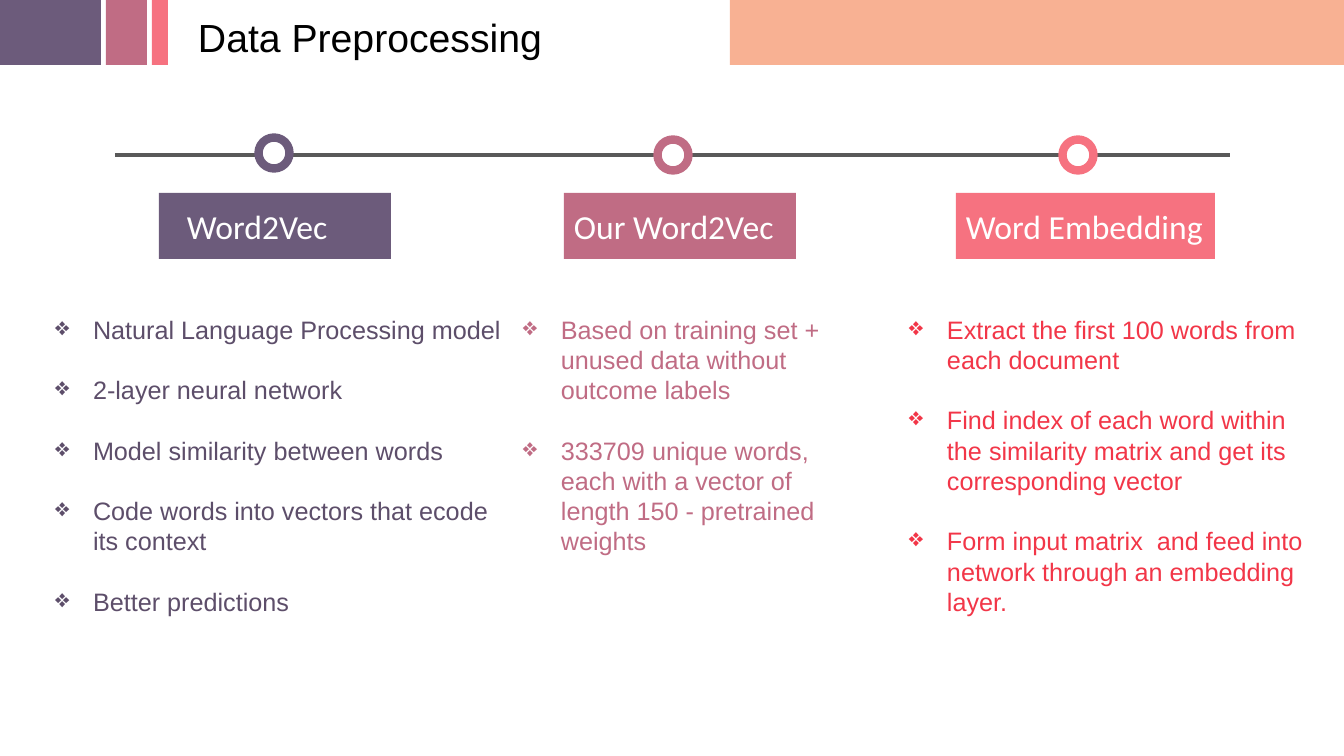
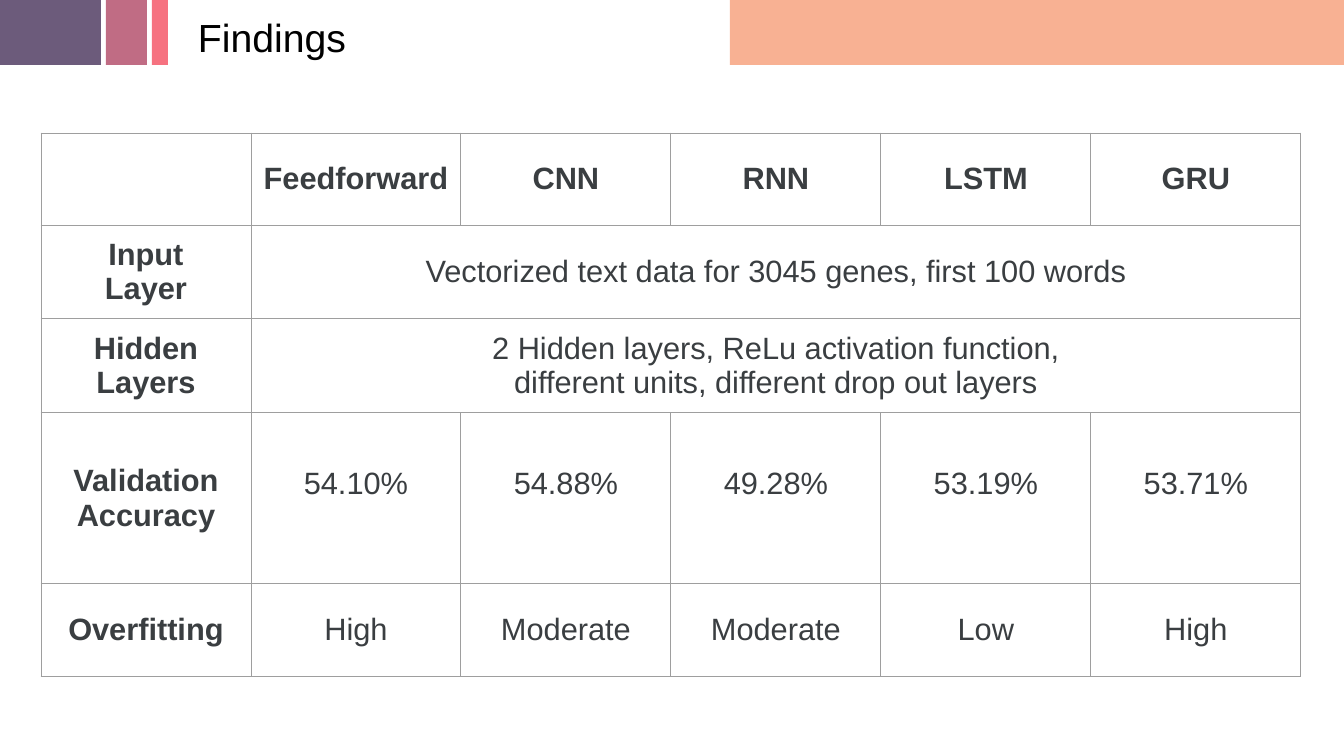
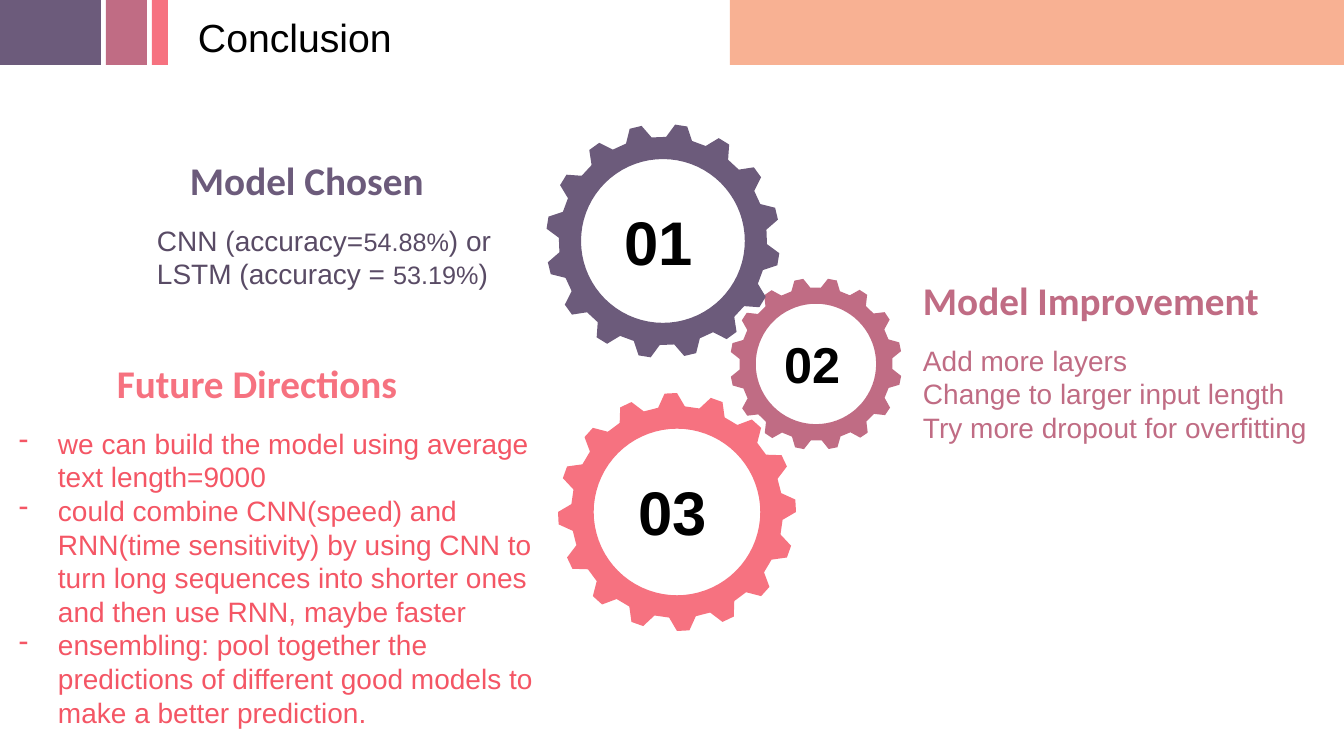
"""Build three slides on preprocessing, findings and conclusions of a text classifier."""
from dataclasses import dataclass
from math import cos, radians, sin

from lxml.etree import SubElement
from pptx import Presentation
from pptx.dml.color import RGBColor
from pptx.enum.shapes import MSO_CONNECTOR, MSO_SHAPE
from pptx.enum.text import MSO_ANCHOR, PP_ALIGN
from pptx.oxml import parse_xml
from pptx.oxml.ns import nsdecls, qn
from pptx.util import Pt

PX = 12192000 / 1344


@dataclass(frozen=True)
class Theme:
    """Colours, fonts and type sizes shared by the slides."""
    purple: str = "6C5B7B"
    rose: str = "C06C84"
    coral: str = "F67280"
    peach: str = "F8B193"
    white: str = "FFFFFF"
    black: str = "000000"
    purple_text: str = "5D4E6A"
    model_text: str = "594B65"
    red_text: str = "F23648"
    coral_text: str = "F45665"
    table_text: str = "3A3E41"
    grid: str = "9E9E9E"
    timeline: str = "595959"
    body_font: str = "Arial"
    label_font: str = "Calibri"
    title: int = 28
    label: int = 24
    table: int = 22
    body: int = 20
    bullet: int = 18
    heading_gap: float = 14.4
    line_factor: float = 1.2


THEME = Theme()

BANDS = [(736, 608, THEME.peach), (0, 101, THEME.purple),
         (106, 41, THEME.rose), (152, 16, THEME.coral)]
BAND_HEIGHT = 65
TITLE_BOX = (188, 8, 390, 57)

TIMELINE = (115, 1230, 155)
MARKER_SIZE = 31
LABEL_TOP, LABEL_HEIGHT = 193, 66
LIST_TOP, LIST_HEIGHT = 309, 390
STEPS = [
    {"label": "Word2Vec", "box": (159, 232), "inset": 28, "marker": (274, 153),
     "color": THEME.purple, "list": (33, 480), "text_color": THEME.purple_text,
     "items": ["Natural Language Processing model", "2-layer neural network",
               "Model similarity between words",
               "Code words into vectors that ecode its context",
               "Better predictions"]},
    {"label": "Our Word2Vec", "box": (564, 232), "inset": 10, "marker": (673, 155),
     "color": THEME.rose, "list": (501, 364), "text_color": THEME.rose,
     "items": ["Based on training set + unused data without outcome labels",
               "333709 unique words, each with a vector of length 150 - pretrained weights"]},
    {"label": "Word Embedding", "box": (956, 259), "inset": 10, "marker": (1078, 155),
     "color": THEME.coral, "list": (887, 448), "text_color": THEME.red_text,
     "items": ["Extract the first 100 words from each document",
               "Find index of each word within the similarity matrix and get its "
               "corresponding vector",
               "Form input matrix  and feed into network through an embedding layer."]},
]

TABLE_ORIGIN = (41, 133)
COLUMN_WIDTH = 210
ROW_HEIGHTS = [92, 93, 92, 171, 93]
ACCURACY_ROW, ACCURACY_BOTTOM = 3, 38
FINDINGS = [
    ["", "Feedforward", "CNN", "RNN", "LSTM", "GRU"],
    ["Input\nLayer", "Vectorized text data for 3045 genes, first 100 words"],
    ["Hidden Layers", "2 Hidden layers, ReLu activation function,\n"
                      "different units, different drop out layers"],
    ["Validation Accuracy", "54.10%", "54.88%", "49.28%", "53.19%", "53.71%"],
    ["Overfitting", "High", "Moderate", "Moderate", "Low", "High"],
]

TEETH = 16
GEARS = [
    {"number": "02", "center": (816, 364), "radius": 86, "phase": 11,
     "color": THEME.rose, "size": 36, "box": (84, 72)},
    {"number": "03", "center": (677, 512), "radius": 119, "phase": -3,
     "color": THEME.coral, "size": 44, "box": (98, 86)},
    {"number": "01", "center": (663, 241), "radius": 117, "phase": 9,
     "color": THEME.purple, "size": 44, "box": (97, 85)},
]
CONCLUSIONS = [
    {"heading": "Model Chosen", "indent": 33, "box": (147, 151, 402, 132),
     "color": THEME.purple, "text_color": THEME.model_text, "bullet": None,
     "lines": [["CNN (accuracy=", "54.88%", ") or"],
               ["LSTM (accuracy = ", "53.19%", ")"]]},
    {"heading": "Future Directions", "indent": 109, "box": (-2, 354, 552, 348),
     "color": THEME.coral, "text_color": THEME.coral_text, "bullet": "-",
     "lines": [["we can build the model using average text length=9000"],
               ["could combine CNN(speed) and RNN(time sensitivity) by using CNN to "
                "turn long sequences into shorter ones and then use RNN, maybe faster"],
               ["ensembling: pool together the predictions of different good models "
                "to make a better prediction."]]},
    {"heading": "Model Improvement", "indent": 0, "box": (913, 271, 410, 213),
     "color": THEME.rose, "text_color": THEME.rose, "bullet": None,
     "lines": [["Add more layers"], ["Change to larger input length"],
               ["Try more dropout for overfitting"]]},
]


def px(value):
    """Turn px into EMU."""
    return round(value * PX)


def rgb(color):
    """Turn a hex string into a colour."""
    return RGBColor.from_string(color)


def style(paragraph, size, color, font=THEME.body_font, bold=False):
    """Set the font that all runs of a paragraph share."""
    paragraph.font.name = font
    paragraph.font.size = Pt(size)
    paragraph.font.bold = bold
    paragraph.font.color.rgb = rgb(color)


def set_indent(paragraph, left, first=0, bullet=None):
    """Indent a paragraph and give it a bullet character."""
    properties = paragraph._p.get_or_add_pPr()
    properties.set("marL", str(px(left)))
    properties.set("indent", str(px(first)))
    if bullet:
        SubElement(properties, qn("a:buChar")).set("char", bullet)


def set_margins(target, left=10, right=10, top=5, bottom=5):
    """Set the inner margins of a text frame or table cell."""
    target.margin_left, target.margin_right = px(left), px(right)
    target.margin_top, target.margin_bottom = px(top), px(bottom)


def add_text_frame(slide, box):
    """Add a wrapping text box and return its frame."""
    frame = slide.shapes.add_textbox(*map(px, box)).text_frame
    frame.word_wrap = True
    set_margins(frame)
    return frame


def add_text(slide, box, text, size, color, bold=False):
    """Add a one-paragraph text box."""
    paragraph = add_text_frame(slide, box).paragraphs[0]
    paragraph.text = text
    style(paragraph, size, color, bold=bold)


def paint(shape, fill, line=None, width=0):
    """Fill a shape flat, with an optional outline."""
    shape.shadow.inherit = False
    shape.fill.solid()
    shape.fill.fore_color.rgb = rgb(fill)
    if line:
        shape.line.color.rgb = rgb(line)
        shape.line.width = Pt(width)
    else:
        shape.line.fill.background()


def add_shape(slide, kind, box, fill, line=None, width=0):
    """Add a painted preset shape."""
    shape = slide.shapes.add_shape(kind, *map(px, box))
    paint(shape, fill, line, width)
    return shape


def add_titled_slide(presentation, title):
    """Add a blank slide with the shared bands and title."""
    slide = presentation.slides.add_slide(presentation.slide_layouts[6])
    for left, width, color in BANDS:
        left = left - 6 if color == THEME.peach else left
        width = width + 6 if color == THEME.peach else width
        add_shape(slide, MSO_SHAPE.RECTANGLE, (left, 0, width, BAND_HEIGHT), color)
    add_text(slide, TITLE_BOX, title, THEME.title, THEME.black)
    return slide


def add_step(slide, step):
    """Add one timeline step: label, bullet list and marker."""
    left, width = step["box"]
    label = add_shape(slide, MSO_SHAPE.RECTANGLE, (left, LABEL_TOP, width, LABEL_HEIGHT),
                      step["color"])
    frame = label.text_frame
    set_margins(frame, left=step["inset"], right=0)
    frame.vertical_anchor = MSO_ANCHOR.MIDDLE
    frame.paragraphs[0].text = step["label"]
    frame.paragraphs[0].alignment = PP_ALIGN.LEFT
    style(frame.paragraphs[0], THEME.label, THEME.white, THEME.label_font)

    left, width = step["list"]
    frame = add_text_frame(slide, (left, LIST_TOP, width, LIST_HEIGHT))
    frame.text = "\n".join(step["items"])
    for paragraph in frame.paragraphs:
        set_indent(paragraph, 50, -38, "❖")
        paragraph.line_spacing = paragraph.space_after = Pt(THEME.bullet * THEME.line_factor)
        style(paragraph, THEME.bullet, step["text_color"])

    x, y = (center - MARKER_SIZE / 2 for center in step["marker"])
    add_shape(slide, MSO_SHAPE.OVAL, (x, y, MARKER_SIZE, MARKER_SIZE),
              THEME.white, step["color"], 6)


def build_preprocessing(presentation):
    """Build the timeline slide."""
    slide = add_titled_slide(presentation, "Data Preprocessing")
    start, end, y = TIMELINE
    line = slide.shapes.add_connector(MSO_CONNECTOR.STRAIGHT, px(start), px(y), px(end), px(y))
    line.line.color.rgb = rgb(THEME.timeline)
    line.line.width = Pt(2.25)
    SubElement(line._element.spPr, qn("a:effectLst"))
    for step in STEPS:
        add_step(slide, step)


def add_borders(cell):
    """Draw a thin line on each side of a cell."""
    properties = cell._tc.get_or_add_tcPr()
    for index, side in enumerate(("lnL", "lnR", "lnT", "lnB")):
        properties.insert(index, parse_xml(
            f'<a:{side} {nsdecls("a")} w="{Pt(0.75)}"><a:solidFill>'
            f'<a:srgbClr val="{THEME.grid}"/></a:solidFill></a:{side}>'))


def build_findings(presentation):
    """Build the table slide."""
    slide = add_titled_slide(presentation, "Findings")
    columns = len(FINDINGS[0])
    table = slide.shapes.add_table(
        len(FINDINGS), columns, *map(px, TABLE_ORIGIN),
        px(COLUMN_WIDTH * columns), px(sum(ROW_HEIGHTS))).table
    table.first_row = table.horz_banding = False
    for column in table.columns:
        column.width = px(COLUMN_WIDTH)
    for row, height in zip(table.rows, ROW_HEIGHTS):
        row.height = px(height)
    for cell in table.iter_cells():
        cell.fill.background()
        add_borders(cell)
    for row, texts in enumerate(FINDINGS):
        if len(texts) == 2:
            table.cell(row, 1).merge(table.cell(row, columns - 1))
        for column, text in enumerate(texts):
            cell = table.cell(row, column)
            cell.text = text
            cell.vertical_anchor = MSO_ANCHOR.MIDDLE
            is_accuracy = row == ACCURACY_ROW and column > 0
            set_margins(cell, top=10, bottom=ACCURACY_BOTTOM if is_accuracy else 10)
            for paragraph in cell.text_frame.paragraphs:
                paragraph.alignment = PP_ALIGN.CENTER
                style(paragraph, THEME.table, THEME.table_text, bold=row == 0 or column == 0)


def add_gear(slide, gear):
    """Add a toothed ring."""
    center_x, center_y = gear["center"]
    radius = gear["radius"]

    def point(angle, share):
        return (px(center_x + radius * share * cos(radians(angle))),
                px(center_y + radius * share * sin(radians(angle))))

    pitch = 360 / TEETH
    profile = [(-3, 1), (3, 1), (pitch / 2 - 4, 0.89), (pitch / 2 + 4, 0.89)]
    outline = [point(gear["phase"] + tooth * pitch + angle, share)
               for tooth in range(TEETH) for angle, share in profile]
    hole = [point(-angle, 0.7) for angle in range(0, 360, 5)]
    builder = slide.shapes.build_freeform(*outline[0], scale=1.0)
    builder.add_line_segments(outline[1:], close=True)
    builder.move_to(*hole[0])
    builder.add_line_segments(hole[1:], close=True)
    paint(builder.convert_to_shape(), gear["color"])


def add_conclusion(slide, block):
    """Add a heading with its lines of text."""
    frame = add_text_frame(slide, block["box"])
    heading = frame.paragraphs[0]
    heading.text = block["heading"]
    heading.space_after = Pt(THEME.heading_gap)
    set_indent(heading, block["indent"])
    style(heading, THEME.title, block["color"], THEME.label_font, bold=True)
    for pieces in block["lines"]:
        paragraph = frame.add_paragraph()
        paragraph.line_spacing = Pt(THEME.body * THEME.line_factor)
        if block["bullet"]:
            set_indent(paragraph, 50, -39, block["bullet"])
        style(paragraph, THEME.body, block["text_color"])
        for piece in pieces:
            run = paragraph.add_run()
            run.text = piece
            if piece.endswith("%"):
                run.font.size = Pt(THEME.bullet)


def build_conclusion(presentation):
    """Build the gear slide."""
    slide = add_titled_slide(presentation, "Conclusion")
    for gear in GEARS:
        add_gear(slide, gear)
    for gear in GEARS:
        (x, y), (width, height) = gear["center"], gear["box"]
        add_text(slide, (x - width / 2, y - height / 2, width, height),
                 gear["number"], gear["size"], THEME.black, bold=True)
    for block in CONCLUSIONS:
        add_conclusion(slide, block)


def main():
    """Build and save the presentation."""
    presentation = Presentation()
    presentation.slide_width, presentation.slide_height = px(1344), px(756)
    build_preprocessing(presentation)
    build_findings(presentation)
    build_conclusion(presentation)
    presentation.save("out.pptx")


if __name__ == "__main__":
    main()
